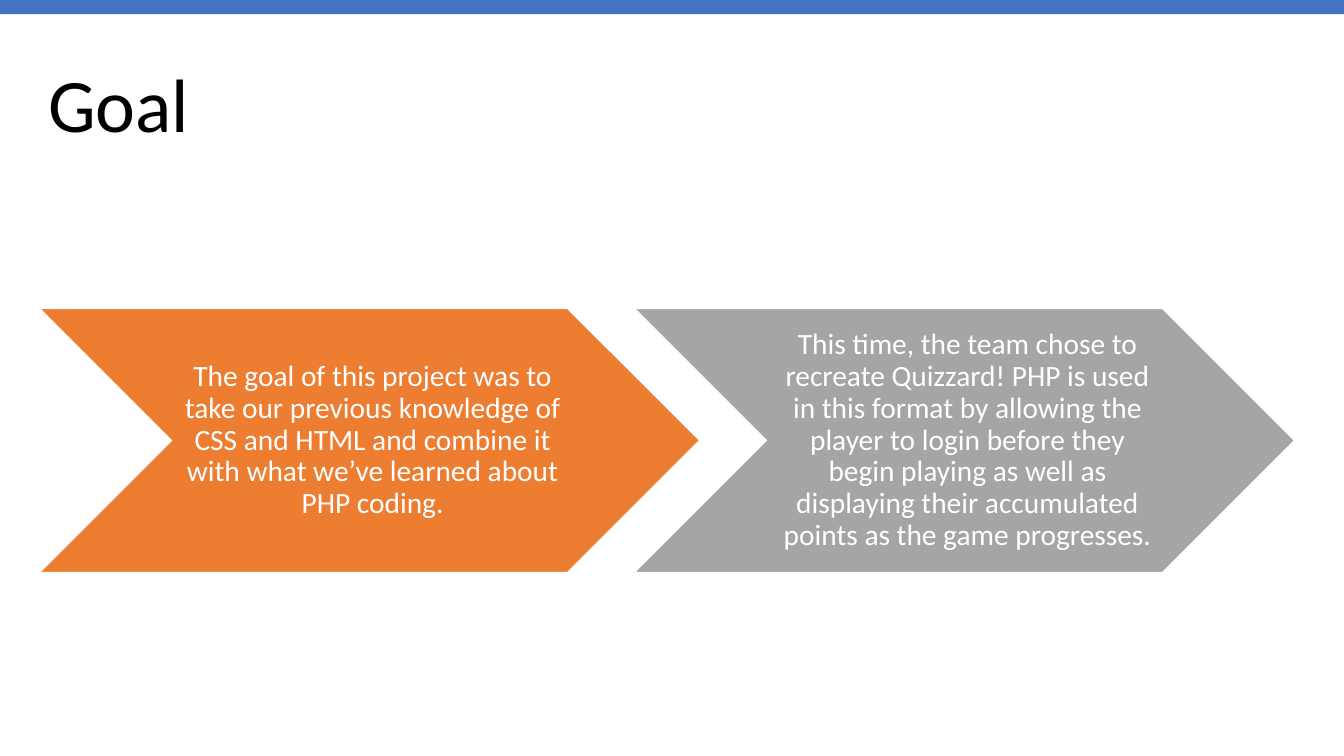
from dataclasses import dataclass

from pptx import Presentation
from pptx.dml.color import RGBColor
from pptx.enum.shapes import MSO_SHAPE
from pptx.enum.text import MSO_ANCHOR, PP_ALIGN
from pptx.shapes.autoshape import Shape
from pptx.slide import Slide
from pptx.text.text import TextFrame
from pptx.util import Inches, Pt

RECTANGLE = MSO_SHAPE.RECTANGLE
CHEVRON = MSO_SHAPE.CHEVRON
MIDDLE = MSO_ANCHOR.MIDDLE
LEFT, CENTER = PP_ALIGN.LEFT, PP_ALIGN.CENTER

PAGE_WIDTH, PAGE_HEIGHT = 13.33, 7.5
CHEVRON_LEFT, CHEVRON_TOP = 0.39, 3.06
CHEVRON_WIDTH, CHEVRON_HEIGHT = 6.55, 2.62
CHEVRON_PITCH = 5.9


@dataclass(frozen=True)
class Theme:
    font: str = "Calibri"
    title_size: float = 54
    body_size: float = 21
    black: RGBColor = RGBColor(0x00, 0x00, 0x00)
    white: RGBColor = RGBColor(0xFF, 0xFF, 0xFF)
    blue: RGBColor = RGBColor(0x44, 0x72, 0xC4)
    orange: RGBColor = RGBColor(0xED, 0x7D, 0x31)
    gray: RGBColor = RGBColor(0xA5, 0xA5, 0xA5)


THEME = Theme()


@dataclass(frozen=True)
class Step:
    text: str
    color: RGBColor


STEPS = (
    Step(
        "The goal of this project was to take our previous knowledge of CSS and "
        "HTML and combine it with what we’ve learned about PHP coding.",
        THEME.orange,
    ),
    Step(
        "This time, the team chose to recreate Quizzard! PHP is used in this "
        "format by allowing the player to login before they begin playing as "
        "well as displaying their accumulated points as the game progresses.",
        THEME.gray,
    ),
)


def write_text(frame: TextFrame, text: str, size: float, color: RGBColor,
               alignment: PP_ALIGN) -> None:
    frame.word_wrap = True
    frame.vertical_anchor = MIDDLE
    para = frame.paragraphs[0]
    para.text = text
    para.alignment = alignment
    para.line_spacing = 0.9
    para.font.name = THEME.font
    para.font.size = Pt(size)
    para.font.color.rgb = color


def add_filled_shape(page: Slide, kind: MSO_SHAPE, left: float, top: float,
                     width: float, height: float, color: RGBColor) -> Shape:
    shape = page.shapes.add_shape(
        kind, Inches(left), Inches(top), Inches(width), Inches(height))
    shape.shadow.inherit = False
    shape.fill.solid()
    shape.fill.fore_color.rgb = color
    shape.line.fill.background()
    return shape


def add_title(page: Slide, text: str) -> None:
    box = page.shapes.add_textbox(
        Inches(0.38), Inches(0.35), Inches(12.48), Inches(1.45))
    write_text(box.text_frame, text, THEME.title_size, THEME.black, LEFT)


def add_step(page: Slide, step: Step, index: int) -> None:
    left = CHEVRON_LEFT + index * CHEVRON_PITCH
    chevron = add_filled_shape(page, CHEVRON, left, CHEVRON_TOP,
                               CHEVRON_WIDTH, CHEVRON_HEIGHT, step.color)
    chevron.line.color.rgb = THEME.white
    chevron.line.width = Pt(1)
    frame = chevron.text_frame
    frame.margin_left = Inches(0.09)
    frame.margin_top = frame.margin_right = frame.margin_bottom = Inches(0.03)
    write_text(frame, step.text, THEME.body_size, THEME.white, CENTER)


def main() -> None:
    deck = Presentation()
    deck.slide_width = Inches(PAGE_WIDTH)
    deck.slide_height = Inches(PAGE_HEIGHT)
    page = deck.slides.add_slide(deck.slide_layouts[6])
    add_title(page, "Goal")
    add_filled_shape(page, RECTANGLE, 0, 0, PAGE_WIDTH, 0.14, THEME.blue)
    for index, step in enumerate(STEPS):
        add_step(page, step, index)
    deck.save("out.pptx")


if __name__ == "__main__":
    main()
